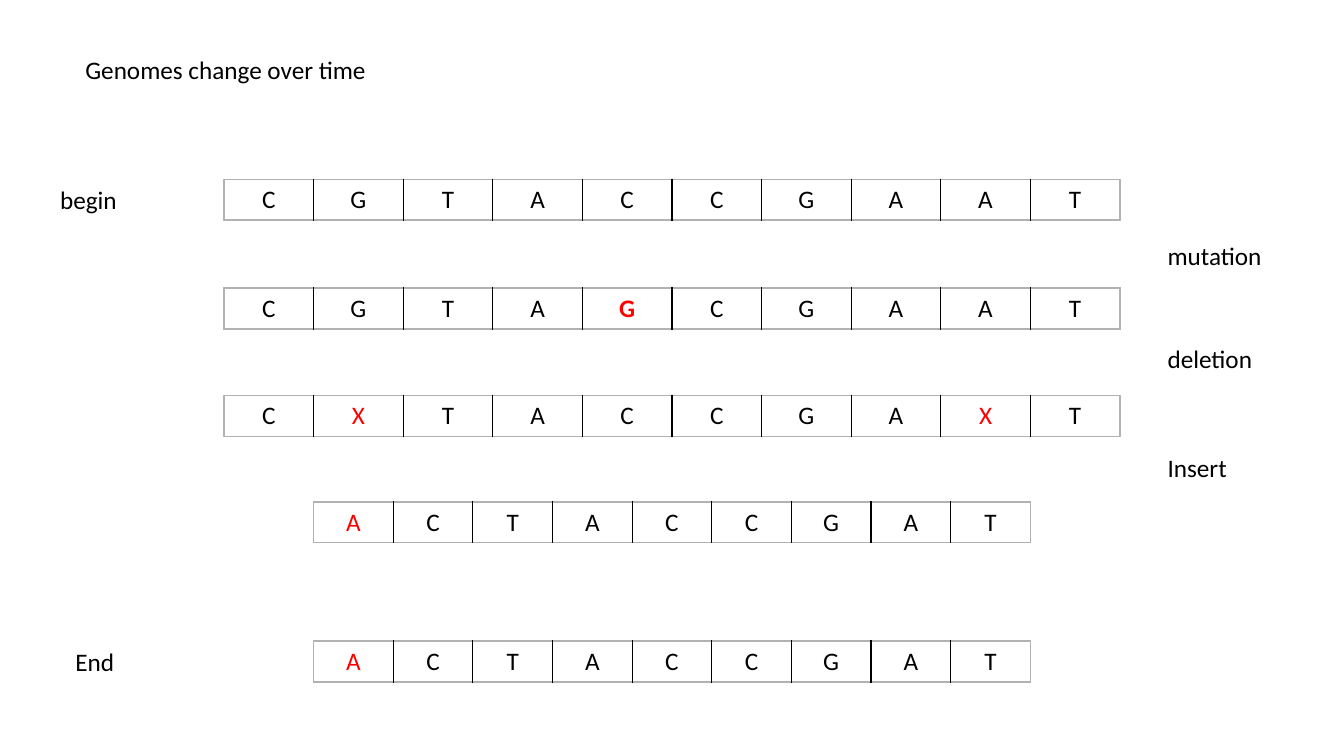
from dataclasses import dataclass
from lxml.etree import SubElement
from pptx import Presentation
from pptx.dml.color import RGBColor
from pptx.enum.text import MSO_ANCHOR as Anchor, PP_ALIGN as Align
from pptx.oxml.ns import qn
from pptx.util import Inches, Pt


@dataclass(frozen=True)
class Theme:
    font: str = "Calibri"
    size: int = 18
    text: str = "000000"
    change: str = "FF0000"
    divider: str = "000000"
    frame: str = "B2B2B2"
    border: int = 1


theme = Theme()
presentation = Presentation()
presentation.slide_width = Inches(13.33)
presentation.slide_height = Inches(7.5)
column = presentation.slide_width / 15
height = presentation.slide_height
row_height = int(height * 0.054)
slide = presentation.slides.add_slide(presentation.slide_layouts[5])


def write(text_frame, text, align, color=theme.text, bold=False):
    text_frame.text = text
    text_frame.word_wrap = True
    text_frame.vertical_anchor = Anchor.TOP
    paragraph = text_frame.paragraphs[0]
    paragraph.alignment = align
    font = paragraph.runs[0].font
    font.name, font.size, font.bold = theme.font, Pt(theme.size), bold
    font.color.rgb = RGBColor.from_string(color)


def draw_border(cell, side, color):
    line = SubElement(cell._tc.get_or_add_tcPr(), qn(f"a:ln{side}"), w=str(Pt(theme.border)))
    fill = SubElement(line, qn("a:solidFill"))
    SubElement(fill, qn("a:srgbClr"), val=color)


title = slide.shapes.title
title.left, title.top = int(column * 0.84), int(height * 0.065)
title.width, title.height = int(column * 7.5), row_height
write(title.text_frame, "Genomes change over time", Align.LEFT)

genomes = [
    ("CGTACCGAAT", 2.5, 10, 0.237, [], False),
    ("CGTAGCGAAT", 2.5, 10, 0.381, [4], True),
    ("CXTACCGAXT", 2.5, 10, 0.523, [1, 8], False),
    ("ACTACCGAT", 3.5, 8, 0.664, [0], False),
    ("ACTACCGAT", 3.5, 8, 0.848, [0], False),
]
for bases, left, span, top, changes, bold in genomes:
    frame = slide.shapes.add_table(
        1, len(bases), int(column * left), int(height * top), int(column * span), row_height
    )
    table = frame.table
    table.first_row = table.horz_banding = False
    last = len(bases) - 1
    for index, base in enumerate(bases):
        cell = table.cell(0, index)
        changed = index in changes
        color = theme.change if changed else theme.text
        write(cell.text_frame, base, Align.CENTER, color, bold and changed)
        draw_border(cell, "L", theme.frame if index == 0 else theme.divider)
        draw_border(cell, "R", theme.frame if index == last else theme.divider)
        draw_border(cell, "T", theme.frame)
        draw_border(cell, "B", theme.frame)
        cell.fill.background()

labels = [
    ("begin", 0.56, 0.237, 0.87),
    ("End", 0.73, 0.848, 0.87),
    ("mutation", 12.92, 0.311, 1.42),
    ("deletion", 12.92, 0.447, 1.42),
    ("Insert", 12.92, 0.592, 1.42),
]
for text, left, top, width in labels:
    label = slide.shapes.add_textbox(
        int(column * left), int(height * top), int(column * width), row_height
    )
    write(label.text_frame, text, Align.LEFT)

presentation.save("out.pptx")
